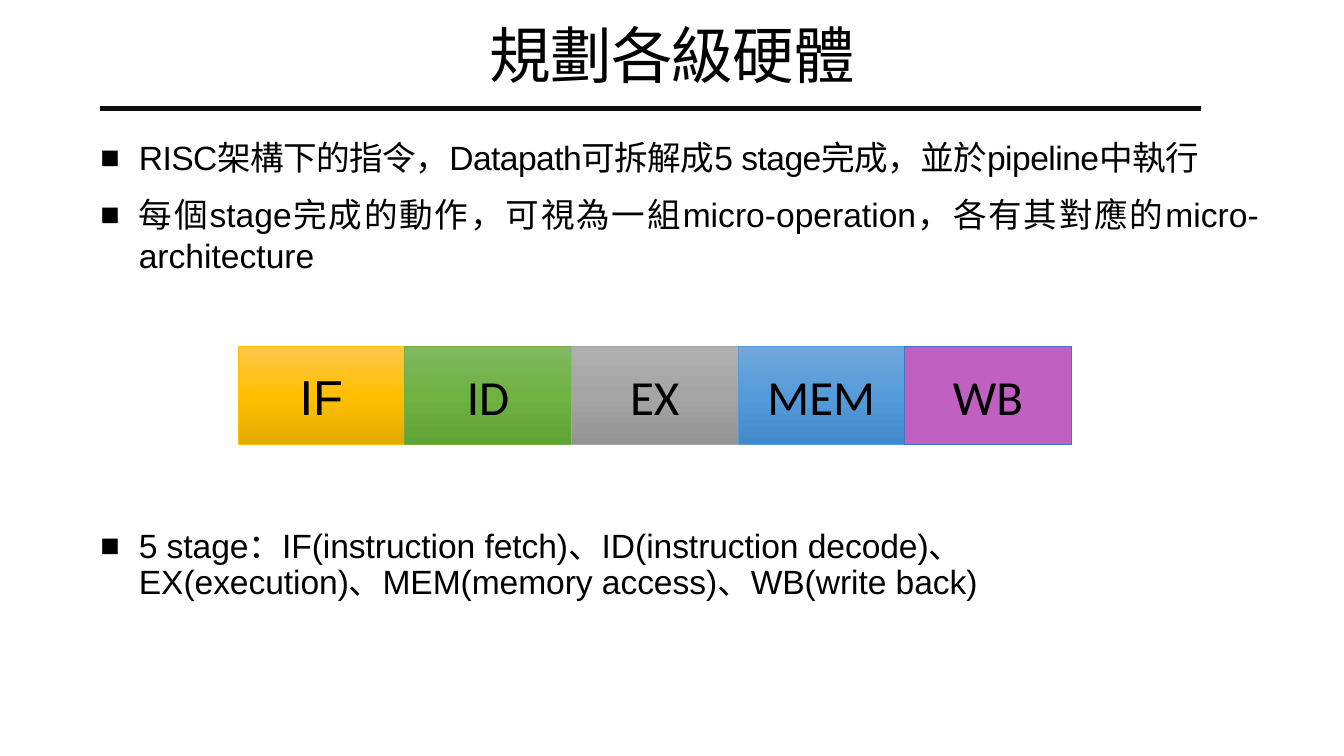
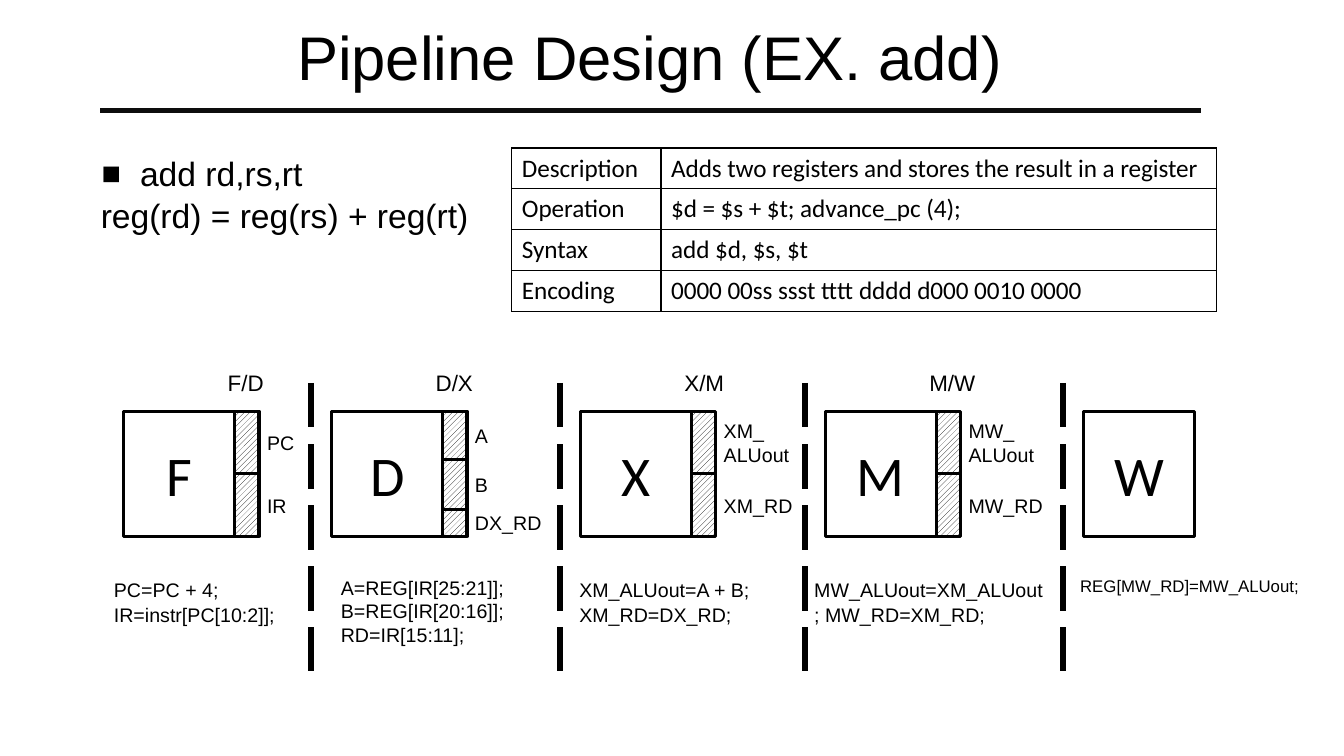
from copy import deepcopy
from dataclasses import dataclass

from lxml.etree import SubElement
from pptx import Presentation
from pptx.dml.color import RGBColor
from pptx.enum.dml import MSO_LINE, MSO_PATTERN
from pptx.enum.shapes import MSO_CONNECTOR, MSO_SHAPE
from pptx.enum.text import MSO_ANCHOR, MSO_AUTO_SIZE, PP_ALIGN
from pptx.oxml import parse_xml
from pptx.oxml.ns import nsdecls, qn
from pptx.util import Cm, Pt


@dataclass(frozen=True)
class Theme:
    ink = RGBColor(0, 0, 0)
    paper = RGBColor(255, 255, 255)
    rule = RGBColor(0x0D, 0x0D, 0x0D)
    sans = "Arial"
    plain = "Calibri"
    asian = "Noto Sans CJK SC"
    title = 44
    stage = 40
    step = 35
    body = 24
    cell = 18
    head = 16
    label = 14
    small = 12


theme = Theme()
inset = dict(margin_left=Cm(0.25), margin_right=Cm(0.25),
             margin_top=Cm(0.13), margin_bottom=Cm(0.13))
middle = dict(vertical_anchor=MSO_ANCHOR.MIDDLE)
centre = dict(alignment=PP_ALIGN.CENTER)


def write(frame, lines, size, face=theme.sans, form=None, marks=0, gaps=(), **room):
    """Fill a text frame; the first `marks` lines get a square bullet."""
    bare = dict.fromkeys(inset, 0)
    for key, val in (dict(word_wrap=True) | bare | room).items():
        setattr(frame, key, val)
    for n, line in enumerate(lines):
        para = frame.paragraphs[0] if n == 0 else frame.add_paragraph()
        para.text = line
        for key, val in (form or {}).items():
            setattr(para, key, val)
        if n < marks:
            props = para._p.get_or_add_pPr()
            props.set("marL", str(Cm(0.99)))
            props.set("indent", str(-Cm(0.97)))
            SubElement(props, qn("a:buSzPct"), val="96000")
            SubElement(props, qn("a:buFont"), typeface=theme.sans)
            SubElement(props, qn("a:buChar"), char="■")
        for run in para.runs:
            run.font.size, run.font.name = Pt(size), face
            run.font.color.rgb = theme.ink
            props = run._r.get_or_add_rPr()
            SubElement(props, qn("a:ea"), typeface=theme.asian)
            if n < len(gaps):
                props.set("spc", str(gaps[n]))


def stroke(slide, x, y, right, foot, color, width):
    """Draw a straight line without a shadow."""
    line = slide.shapes.add_connector(
        MSO_CONNECTOR.STRAIGHT, Cm(x), Cm(y), Cm(right), Cm(foot))
    line.line.color.rgb, line.line.width = color, Pt(width)
    SubElement(line._element.spPr, qn("a:effectLst"))
    return line


deck = Presentation()
deck.slide_width, deck.slide_height = Cm(33.87), Cm(19.05)

# Titles with their rule
slides = []
for text, face, gaps, x, y, wide in [
    ("規劃各級硬體", theme.asian, [-60], 2.34, 0.41, 29.21),
    ("Pipeline Design (EX. add)", theme.sans, [], 2.51, 0.46, 27.74),
]:
    slide = deck.slides.add_slide(deck.slide_layouts[5])
    title = slide.shapes.title
    place = dict(left=Cm(x), top=Cm(y), width=Cm(wide), height=Cm(2.03))
    for key, val in place.items():
        setattr(title, key, val)
    write(title.text_frame, [text], theme.title, face, centre | dict(line_spacing=0.9),
          gaps=gaps, vertical_anchor=MSO_ANCHOR.BOTTOM,
          auto_size=MSO_AUTO_SIZE.NONE, **inset)
    stroke(slide, 2.53, y + 2.33, 30.27, y + 2.33, theme.rule, 3.75)
    slides.append(slide)
plan, design = slides

# Plan: bullets above and below the stages
intro = plan.shapes.add_textbox(Cm(2.51), Cm(3.02), Cm(29.21), Cm(3.94))
write(intro.text_frame,
      ["RISC架構下的指令，Datapath可拆解成5 stage完成，並於pipeline中執行",
       "每個stage完成的動作，可視為一組micro-operation，各有其對應的micro-architecture"],
      theme.body, form=dict(alignment=PP_ALIGN.JUSTIFY, space_before=Pt(12.1)),
      marks=2, gaps=[-40], margin_top=Cm(0.43))
names = plan.shapes.add_textbox(Cm(2.51), Cm(13.18), Cm(28.7), Cm(2.01))
write(names.text_frame,
      ["5 stage：IF(instruction fetch)、ID(instruction decode)、\v"
       "EX(execution)、MEM(memory access)、WB(write back)"],
      theme.body, form=dict(line_spacing=Pt(25.9), space_before=Pt(4.2)),
      marks=1, gaps=[-5], margin_top=Cm(0.15))

# Plan: the five stages side by side
wide = 4.2
for n, (name, face, edge, tones) in enumerate([
    ("IF", theme.sans, "FFC000", ["FFC64B", "FFC000", "E3AB00"]),
    ("ID", theme.plain, "70AD47", ["81B861", "6FB242", "62A336"]),
    ("EX", theme.plain, "A5A5A5", ["AFAFAF", "A5A5A5", "939393"]),
    ("MEM", theme.plain, "5B9BD5", ["71A6DB", "559BDB", "448ACA"]),
    ("WB", theme.plain, "4472C4", ["C060C0"]),
]):
    step = plan.shapes.add_shape(
        MSO_SHAPE.RECTANGLE, Cm(6 + n * wide), Cm(8.74), Cm(wide), Cm(2.46))
    step.shadow.inherit = False
    step.line.color.rgb, step.line.width = RGBColor.from_string(edge), Pt(0.5)
    if len(tones) == 1:
        step.fill.solid()
        step.fill.fore_color.rgb = RGBColor.from_string(tones[0])
    else:
        step.fill.gradient()
        step.fill.gradient_angle = 270
        stops = step._element.spPr.find(qn("a:gradFill")).find(qn("a:gsLst"))
        stops.append(deepcopy(stops[-1]))
        for k, stop in enumerate(step.fill.gradient_stops):
            stop.position, stop.color.rgb = k / 2, RGBColor.from_string(tones[k])
    write(step.text_frame, [name], theme.step, face, centre, **middle, **inset)

# Design: the instruction
code = design.shapes.add_textbox(Cm(2.29), Cm(3.73), Cm(11.56), Cm(2.31))
write(code.text_frame, ["add rd,rs,rt", "reg(rd) = reg(rs) + reg(rt)"],
      theme.body, form=dict(space_before=Pt(1)), marks=1, **inset)

# Design: table of the instruction
rows = [
    ("Description", "Adds two registers and stores the result in a register"),
    ("Operation", "$d = $s + $t; advance_pc (4);"),
    ("Syntax", "add $d, $s, $t"),
    ("Encoding", "0000 00ss ssst tttt dddd d000 0010 0000"),
]
grid = design.shapes.add_table(
    len(rows), 2, Cm(12.9), Cm(3.73), Cm(17.75), Cm(4.12)).table
grid.first_row = grid.horz_banding = False
for col, wide in zip(grid.columns, (3.76, 13.99)):
    col.width = Cm(wide)
for r, row in enumerate(rows):
    for c, text in enumerate(row):
        cell = grid.cell(r, c)
        cell.fill.background()
        write(cell.text_frame, [text], theme.cell, theme.plain, gaps=[-5])
        for n, side in enumerate("LRTB"):
            cell._tc.get_or_add_tcPr().insert(n, parse_xml(
                f'<a:ln{side} {nsdecls("a")} w="12700"><a:solidFill>'
                f'<a:srgbClr val="{theme.ink}"/></a:solidFill></a:ln{side}>'))

# Design: stages, each with its latch parts (label, height) and action
top, tall, body, slim = 10.36, 3.16, 2.8, 0.61
half = tall / 2
stages = [
    ("F", 3.12, "F/D", [("PC", half), ("IR", half)],
     "PC=PC + 4;\vIR=instr[PC[10:2]];", 2.87, 4.6, 1.08),
    ("D", 8.36, "D/X", [("A", 1.22), ("B", 1.25), ("DX_RD", 0.69)],
     "A=REG[IR[25:21]];\vB=REG[IR[20:16]];\vRD=IR[15:11];", 8.59, 5.05, 1),
    ("X", 14.63, "X/M", [("XM_\vALUout", half), ("XM_RD", half)],
     "XM_ALUout=A + B;\vXM_RD=DX_RD;", 14.6, 4.65, 1.08),
    ("M", 20.8, "M/W", [("MW_\vALUout", half), ("MW_RD", half)],
     "MW_ALUout=XM_ALUout; MW_RD=XM_RD;", 20.52, 5.85, 1.08),
    ("W", 27.31, "", [], "REG[MW_RD]=MW_ALUout;", 26.92, 6.12, 1),
]
for n, (name, x, head, parts, act, start, wide, space) in enumerate(stages):
    box = design.shapes.add_shape(
        MSO_SHAPE.RECTANGLE, Cm(x), Cm(top), Cm(body), Cm(tall))
    box.fill.background()
    write(box.text_frame, [name], theme.stage, theme.plain, centre, **middle)
    frames = [box]

    # Latch parts stacked at the right edge, labels beside them
    y = top
    for label, high in parts:
        latch = design.shapes.add_shape(
            MSO_SHAPE.RECTANGLE, Cm(x + body), Cm(y), Cm(slim), Cm(high))
        latch.fill.patterned()
        latch.fill.pattern = MSO_PATTERN.WIDE_UPWARD_DIAGONAL
        latch.fill.fore_color.rgb = theme.ink
        latch.fill.back_color.rgb = theme.paper
        frames.append(latch)
        note = design.shapes.add_textbox(
            Cm(x + body + slim + 0.2), Cm(y), Cm(2), Cm(high))
        write(note.text_frame, [label], theme.label,
              form=dict(space_before=Pt(1)), **middle)
        y += high
    for shape in frames:
        shape.shadow.inherit = False
        shape.line.color.rgb, shape.line.width = theme.ink, Pt(2.25)

    # Latch name above, action below
    if head:
        tag = design.shapes.add_textbox(Cm(x + 2.62), Cm(9.3), Cm(1.5), Cm(0.71))
        write(tag.text_frame, [head], theme.head, form=dict(space_before=Pt(0.9)))
    last = n == len(stages) - 1
    deed = design.shapes.add_textbox(Cm(start), Cm(14.45), Cm(wide), Cm(1.3))
    write(deed.text_frame, [act], theme.small if last else theme.label,
          form=dict(space_before=Pt(2), line_spacing=space,
                    alignment=PP_ALIGN.CENTER if last else PP_ALIGN.LEFT),
          margin_top=Cm(0.06))

    # Dashed border in front of every stage but the first
    if n:
        dash = stroke(design, x - 0.52, 9.65, x - 0.52, 16.92, theme.ink, 3.96)
        dash.line.dash_style = MSO_LINE.LONG_DASH

deck.save("out.pptx")
